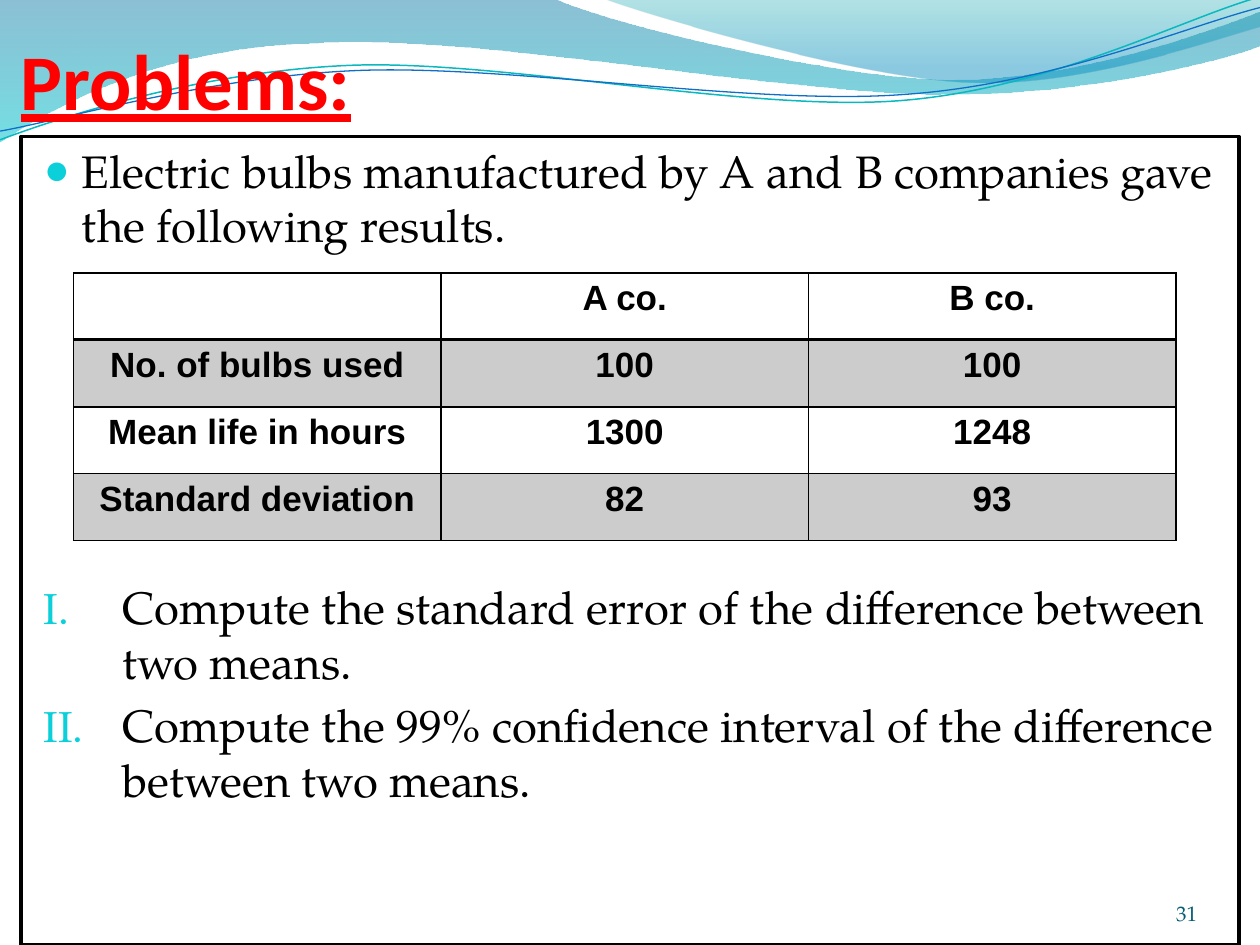
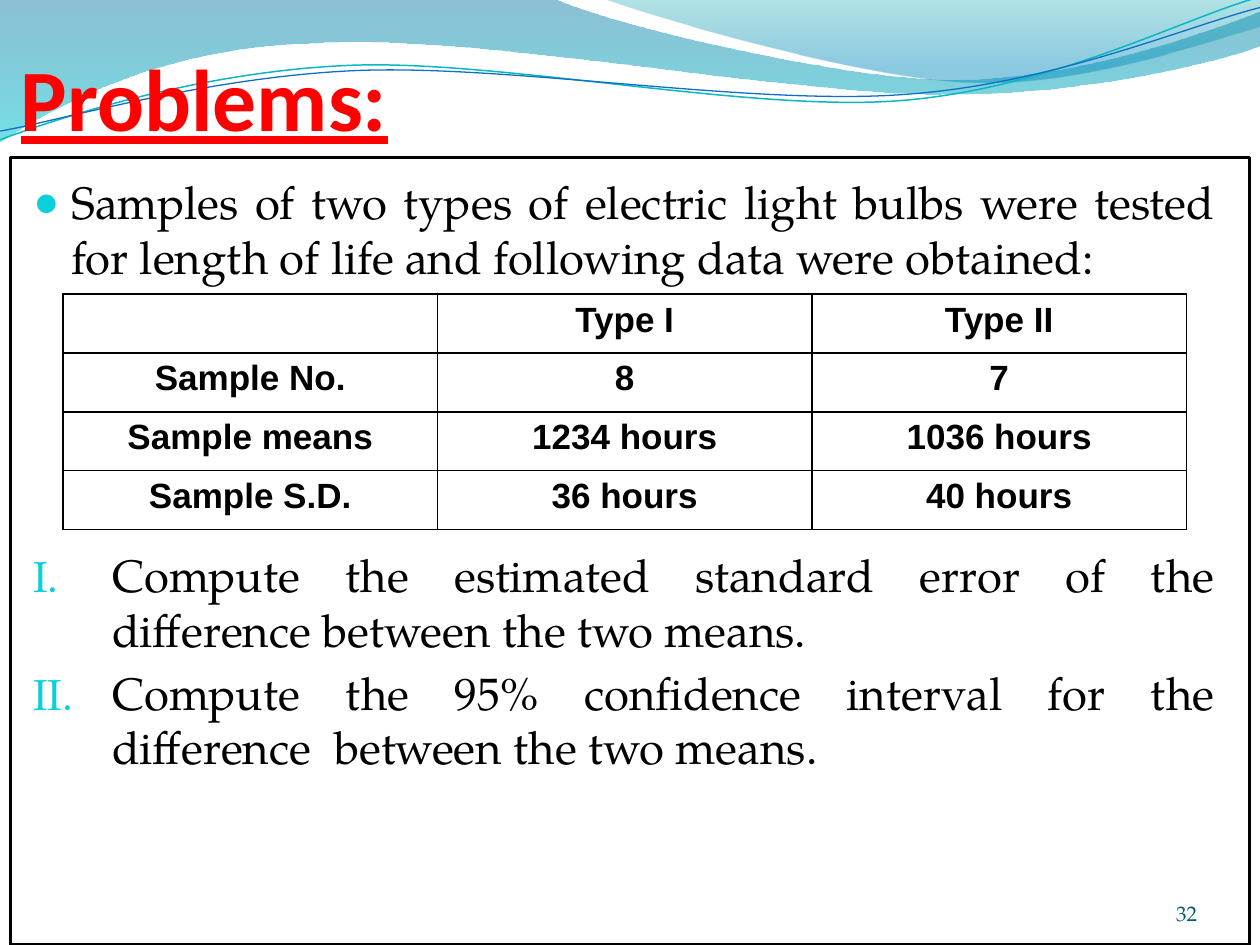
from dataclasses import dataclass
from typing import NamedTuple

from lxml.etree import SubElement
from pptx import Presentation
from pptx.dml.color import RGBColor
from pptx.enum.shapes import MSO_SHAPE
from pptx.enum.text import MSO_ANCHOR, MSO_AUTO_SIZE, PP_ALIGN
from pptx.oxml import parse_xml
from pptx.oxml.ns import nsdecls, qn
from pptx.util import Pt

BLACK = RGBColor(0x00, 0x00, 0x00)
WHITE = RGBColor(0xFF, 0xFF, 0xFF)
RED = RGBColor(0xFF, 0x00, 0x00)
BAND_GREY = RGBColor(0xCC, 0xCC, 0xCC)
BULLET_CYAN = RGBColor(0x0B, 0xD0, 0xD9)
NUMBER_TEAL = RGBColor(0x04, 0x5D, 0x75)
LINE_TEAL = RGBColor(0x0A, 0xB8, 0xBF)
LINE_BLUE = RGBColor(0x0F, 0x6F, 0xC6)
WAVE_BLUE = RGBColor(0x00, 0x74, 0xA1)
WAVE_CYAN = RGBColor(0x00, 0xC6, 0xCF)
CREST_GREEN = RGBColor(0x00, 0xA1, 0xA9)
CREST_BLUE = RGBColor(0x00, 0x8B, 0xBF)

BODY_FONT = "TeX Gyre Pagella"
BODY_FORMAT = dict(name=BODY_FONT, size=Pt(26))
TABLE_FORMAT = dict(name="Arial", size=Pt(20), bold=True)
NUMBER_FORMAT = dict(name=BODY_FONT, size=Pt(12))
PARAGRAPH_GAP = 5


class Box(NamedTuple):
    """Left, top, width and height in points."""
    left: float
    top: float
    width: float
    height: float

    def lengths(self) -> list:
        return [Pt(value) for value in self]


class Stop(NamedTuple):
    position: int
    color: RGBColor
    opacity: int


@dataclass
class Wave:
    """A start point, then steps of one point (line) or three points (curve)."""
    start: tuple
    steps: list
    stops: tuple = ()
    line_color: RGBColor | None = None
    line_width: float = 0


@dataclass
class Problem:
    number: int
    title_box: Box
    title_size: int
    panel: Box
    body: Box
    alignment: PP_ALIGN
    statement: str
    table_gap: float
    questions: list
    table: Box
    rows: list
    banded: bool


WAVES = [
    Wave((0, 0), [
        [(316.8, -0.7)],
        [(342.7, 12.2), (478.1, 45.4), (545.8, 45.4)],
        [(614.2, 45.4), (689.8, 18.7), (720, 6.5)],
        [(720.7, 25.9)],
        [(707.8, 31.7), (626.4, 54.7), (537.1, 54)],
        [(447.8, 54), (275, 20.2), (185, 24.5)],
        [(92.9, 25.9), (33.1, 59.8), (-0.7, 81.4)],
    ], stops=(Stop(0, WAVE_BLUE, 45), Stop(100, WAVE_CYAN, 55))),
    Wave((344.9, -0.7), [
        [(366.5, 7.9), (491, 44.6), (553.7, 46.8)],
        [(616.3, 49.7), (691.9, 23), (720, 15.1)],
        [(720, 0)],
    ], stops=(Stop(0, CREST_GREEN, 30), Stop(80, CREST_BLUE, 45))),
    Wave((0, 79.9), [
        [(34.6, 67), (113.8, 41), (199.4, 37.4)],
        [(284.4, 33.8), (427, 64.1), (513.4, 57.6)],
        [(599.8, 51.1), (675.4, 10.8), (718.6, -1.4)],
    ], line_color=LINE_TEAL, line_width=0.85),
    Wave((0, 74.9), [
        [(33.8, 69.1), (118.1, 43.9), (203.8, 40.3)],
        [(290.2, 36.7), (429.8, 60.5), (516.2, 54)],
        [(601.9, 48.2), (677.5, 15.1), (720, 4.3)],
    ], line_color=LINE_BLUE, line_width=0.75),
]

PROBLEMS = [
    Problem(
        31, Box(12, 12, 648, 60), 45, Box(12, 78, 696, 462), Box(18, 78, 684, 444),
        PP_ALIGN.LEFT,
        "Electric bulbs manufactured by A and B companies gave the following results.",
        187,
        ["Compute the standard error of the difference between two means.",
         "Compute the 99% confidence interval of the difference between two means."],
        Box(42, 156, 630, 153),
        [["", "A co.", "B co."],
         ["No. of bulbs used", "100", "100"],
         ["Mean life in hours", "1300", "1248"],
         ["Standard deviation", "82", "93"]],
        banded=True),
    Problem(
        32, Box(12, 12, 648, 73.2), 50, Box(6, 90, 708, 450), Box(12, 96, 690, 426),
        PP_ALIGN.JUSTIFY,
        "Samples of two types of electric light bulbs were tested for length of life "
        "and following data were obtained:",
        150.7,
        ["Compute the estimated standard error of the difference between the two means.",
         "Compute the 95% confidence interval for the difference  between the two means."],
        Box(36, 168, 642, 134.7),
        [["", "Type I", "Type II"],
         ["Sample No.", "8", "7"],
         ["Sample means", "1234 hours", "1036 hours"],
         ["Sample S.D.", "36 hours", "40 hours"]],
        banded=False),
]


def apply(target, values: dict) -> None:
    for name, value in values.items():
        setattr(target, name, value)


def write(paragraph, text: str, color: RGBColor, font_format: dict) -> None:
    run = paragraph.add_run()
    run.text = text
    apply(run.font, font_format)
    run.font.color.rgb = color


# Wave band, kept on the layout
def bend_lines(shape, wave: Wave) -> None:
    """Turn the straight segments of three-point steps into Bezier curves."""
    segments = list(shape.element.iter(qn("a:lnTo")))
    for segment, step in zip(segments, wave.steps):
        if len(step) == 3:
            points = "".join(f'<a:pt x="{Pt(x) - shape.left}" y="{Pt(y) - shape.top}"/>'
                             for x, y in step)
            curve = parse_xml(f'<a:cubicBezTo {nsdecls("a")}>{points}</a:cubicBezTo>')
            segment.getparent().replace(segment, curve)


def gradient(stops: tuple):
    marks = "".join(
        f'<a:gs pos="{stop.position * 1000}"><a:srgbClr val="{stop.color}">'
        f'<a:alpha val="{stop.opacity * 1000}"/></a:srgbClr></a:gs>' for stop in stops)
    return parse_xml(f'<a:gradFill {nsdecls("a")} rotWithShape="1"><a:gsLst>{marks}</a:gsLst>'
                     '<a:lin ang="5400000" scaled="0"/></a:gradFill>')


def draw_wave(slide, wave: Wave):
    anchors = [(Pt(x), Pt(y)) for x, y in [wave.start, *(step[-1] for step in wave.steps)]]
    builder = slide.shapes.build_freeform(*anchors[0])
    builder.add_line_segments(anchors[1:], close=bool(wave.stops))
    shape = builder.convert_to_shape()
    bend_lines(shape, wave)
    shape.shadow.inherit = False
    shape.fill.background()
    if wave.stops:
        shape.line.fill.background()
        properties = shape.element.spPr
        properties.replace(properties.find(qn("a:noFill")), gradient(wave.stops))
    else:
        shape.line.color.rgb = wave.line_color
        shape.line.width = Pt(wave.line_width)
    return shape


def move_waves_to_layout(slide, layout) -> None:
    for placeholder in list(layout.placeholders)[1:]:
        layout.shapes.element.remove(placeholder.element)
    for index, wave in enumerate(WAVES):
        layout.shapes.element.insert(2 + index, draw_wave(slide, wave).element)


# Title, panel and text
def draw_title(slide, problem: Problem) -> None:
    title = slide.shapes.title
    apply(title, dict(zip(("left", "top", "width", "height"), problem.title_box.lengths())))
    frame = title.text_frame
    apply(frame, dict(margin_left=0, margin_top=Pt(3.6), margin_right=0, margin_bottom=0,
                      auto_size=MSO_AUTO_SIZE.NONE, word_wrap=True,
                      vertical_anchor=MSO_ANCHOR.BOTTOM))
    frame.paragraphs[0].alignment = PP_ALIGN.LEFT
    write(frame.paragraphs[0], "Problems:", RED,
          dict(name="Calibri", size=Pt(problem.title_size), bold=True, underline=True))


def draw_panel(slide, box: Box) -> None:
    panel = slide.shapes.add_shape(MSO_SHAPE.RECTANGLE, *box.lengths())
    panel.shadow.inherit = False
    panel.fill.solid()
    panel.fill.fore_color.rgb = WHITE
    panel.line.color.rgb = BLACK
    panel.line.width = Pt(2)


def add_bullet(paragraph, indent: float, font: str, tag: str, attributes: dict) -> None:
    properties = paragraph._p.get_or_add_pPr()
    properties.set("marL", str(Pt(indent)))
    properties.set("indent", str(-Pt(indent)))
    color = SubElement(properties, qn("a:buClr"))
    SubElement(color, qn("a:srgbClr"), val=str(BULLET_CYAN))
    SubElement(properties, qn("a:buSzPct"), val="95000")
    SubElement(properties, qn("a:buFont"), typeface=font)
    SubElement(properties, qn(tag), attributes)


def draw_body(slide, problem: Problem) -> None:
    frame = slide.shapes.add_textbox(*problem.body.lengths()).text_frame
    frame.word_wrap = True
    gaps = [PARAGRAPH_GAP, problem.table_gap, PARAGRAPH_GAP]
    for index, text in enumerate([problem.statement, *problem.questions]):
        paragraph = frame.add_paragraph() if index else frame.paragraphs[0]
        apply(paragraph, dict(alignment=problem.alignment, space_before=Pt(gaps[index])))
        if index:
            add_bullet(paragraph, 45, BODY_FONT, "a:buAutoNum", {"type": "romanUcPeriod"})
        else:
            add_bullet(paragraph, 21.6, "Arial", "a:buChar", {"char": "●"})
        write(paragraph, text, BLACK, BODY_FORMAT)


def draw_page_number(slide, number: int) -> None:
    frame = slide.shapes.add_textbox(*Box(624, 500.5, 60, 28.5).lengths()).text_frame
    apply(frame, dict(margin_left=0, margin_top=0, margin_right=0, margin_bottom=0,
                      word_wrap=True, vertical_anchor=MSO_ANCHOR.BOTTOM))
    frame.paragraphs[0].alignment = PP_ALIGN.RIGHT
    write(frame.paragraphs[0], str(number), NUMBER_TEAL, NUMBER_FORMAT)


# Table
def set_borders(cell, widths: dict) -> None:
    properties = cell._tc.get_or_add_tcPr()
    for index, (side, width) in enumerate(widths.items()):
        properties.insert(index, parse_xml(
            f'<a:ln{side} {nsdecls("a")} w="{Pt(width)}"><a:solidFill>'
            f'<a:srgbClr val="{BLACK}"/></a:solidFill></a:ln{side}>'))


def draw_table(slide, problem: Problem) -> None:
    rows = problem.rows
    table = slide.shapes.add_table(len(rows), len(rows[0]), *problem.table.lengths()).table
    for row_index, row in enumerate(rows):
        for column_index, text in enumerate(row):
            cell = table.cell(row_index, column_index)
            if problem.banded and row_index % 2:
                cell.fill.solid()
                cell.fill.fore_color.rgb = BAND_GREY
            else:
                cell.fill.background()
            top = 2 if problem.banded and row_index == 1 else 1
            bottom = 2 if problem.banded and row_index == 0 else 1
            set_borders(cell, dict(L=1, R=1, T=top, B=bottom))
            if text:
                paragraph = cell.text_frame.paragraphs[0]
                paragraph.alignment = PP_ALIGN.CENTER
                write(paragraph, text, BLACK, TABLE_FORMAT)


def main() -> None:
    presentation = Presentation()
    apply(presentation, dict(slide_width=Pt(720), slide_height=Pt(540)))
    layout = presentation.slide_layouts[5]
    for index, problem in enumerate(PROBLEMS):
        slide = presentation.slides.add_slide(layout)
        if index == 0:
            move_waves_to_layout(slide, layout)
        draw_title(slide, problem)
        draw_panel(slide, problem.panel)
        draw_body(slide, problem)
        draw_table(slide, problem)
        draw_page_number(slide, problem.number)
    presentation.save("out.pptx")


if __name__ == "__main__":
    main()
